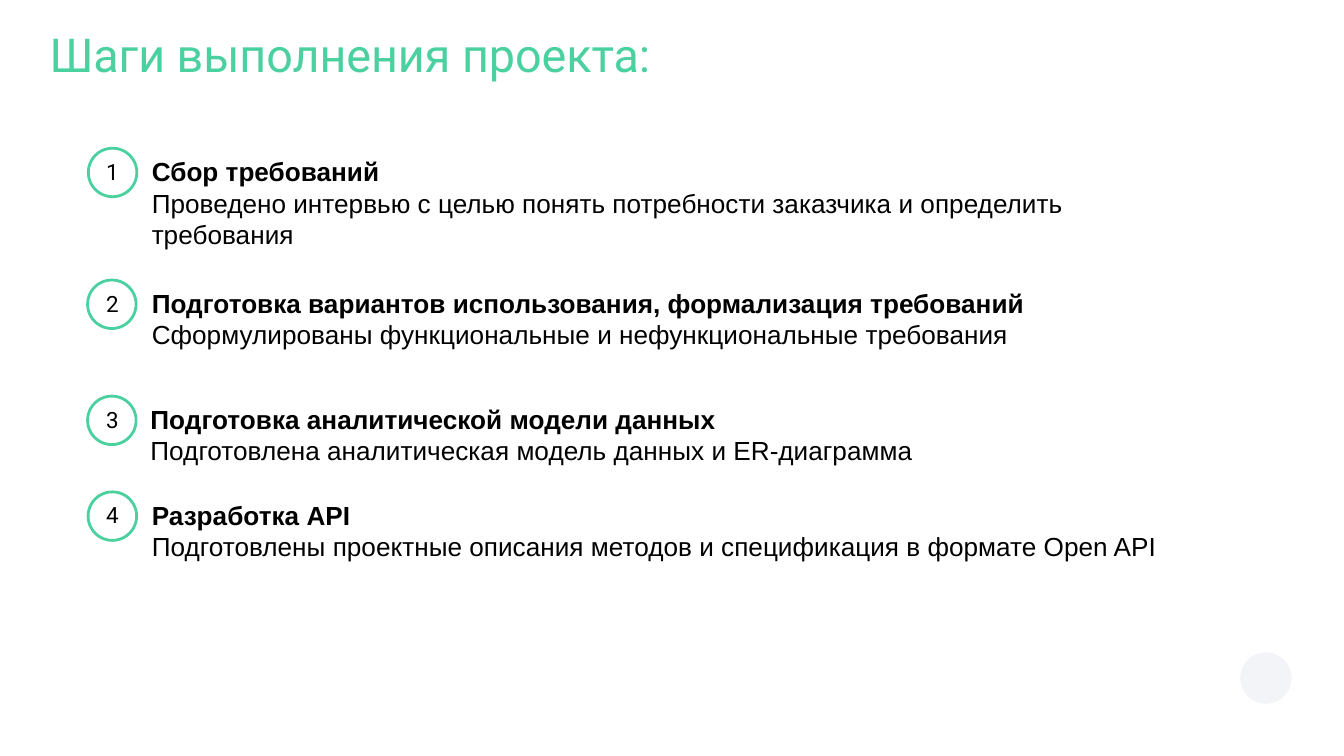
from pptx import Presentation, util as u
from pptx.dml.color import RGBColor
from pptx.enum import shapes, text

Pt = u.Pt
GREEN, BLACK, PALE = "4BD0A0", "000000", "F3F4F7"


def rgb(value):
    return RGBColor.from_string(value)


def add_text(s, box, inset, lines, align=text.PP_ALIGN.LEFT):
    """Add a text box; each line is (wording, font, size, colour, bold)."""
    sp = s.shapes.add_textbox(*[Pt(v) for v in box])
    tf = sp.text_frame
    tf.word_wrap = True
    tf.margin_left = tf.margin_right = Pt(inset[0])
    tf.margin_top = tf.margin_bottom = Pt(inset[1])
    for i, (wording, font, size, colour, bold) in enumerate(lines):
        p = tf.add_paragraph() if i else tf.paragraphs[0]
        p.alignment = align
        r = p.add_run()
        r.text = wording
        r.font.name = font
        r.font.size = Pt(size)
        r.font.bold = bold
        r.font.color.rgb = rgb(colour)
    return tf


prs = Presentation()
prs.slide_width, prs.slide_height = Pt(720), Pt(405)
s = prs.slides.add_slide(prs.slide_layouts[6])

# Plain corner mark
mark = s.shapes.add_shape(shapes.MSO_SHAPE.OVAL, Pt(664.5), Pt(349.5), Pt(27.5), Pt(27.5))
mark.shadow.inherit = False
mark.fill.solid()
mark.fill.fore_color.rgb = rgb(PALE)
mark.line.fill.background()

title = add_text(s, (19.5, 12.25, 664, 41), (7.2, 7.2),
                 [("Шаги выполнения проекта:", "Roboto", 25, GREEN, False)])
title.paragraphs[0].line_spacing = 0.8

# Circle left, text left, top, heading, description
steps = [
    (47.3, 74.2, 79.4, "Сбор требований",
     "Проведено интервью с целью понять потребности заказчика и определить требования"),
    (46.9, 74.2, 150, "Подготовка вариантов использования, формализация требований",
     "Сформулированы функциональные и нефункциональные требования"),
    (46.9, 73.5, 212.2, "Подготовка аналитической модели данных",
     "Подготовлена аналитическая модель данных и ER-диаграмма"),
    (47.2, 74.2, 263.5, "Разработка API",
     "Подготовлены проектные описания методов и спецификация в формате Open API"),
]
for number, (circle_left, text_left, top, heading, description) in enumerate(steps, 1):
    circle = s.shapes.add_shape(shapes.MSO_SHAPE.OVAL, Pt(circle_left), Pt(top), Pt(26), Pt(26))
    circle.shadow.inherit = False
    circle.fill.background()
    circle.line.color.rgb = rgb(GREEN)
    circle.line.width = Pt(1.5)
    add_text(s, (50.2, top + 1.7, 20, 20), (3.6, 3.6),
             [(str(number), "Roboto", 12, BLACK, False)], text.PP_ALIGN.CENTER)
    tf = add_text(s, (text_left, top + 0.4, 579.6, 58 if number == 1 else 41), (7.2, 3.6),
                  [(heading, "Arial", 14, BLACK, True),
                   (description, "Arial", 14, BLACK, False)])
    tf.auto_size = text.MSO_AUTO_SIZE.SHAPE_TO_FIT_TEXT

prs.save("out.pptx")
